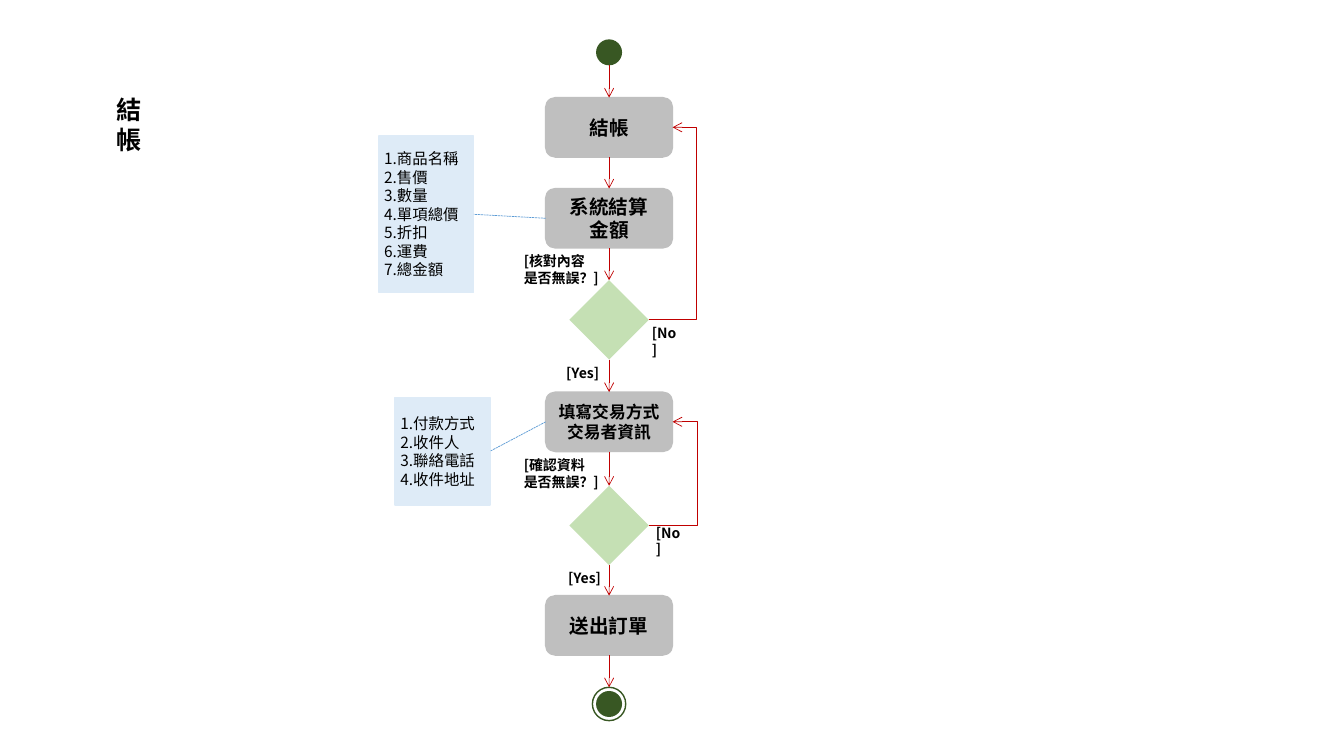
from itertools import pairwise

from lxml.etree import SubElement
from pptx import Presentation
from pptx.dml.color import RGBColor
from pptx.enum.dml import MSO_LINE
from pptx.enum.shapes import MSO_CONNECTOR as LINK, MSO_SHAPE as SHAPE
from pptx.enum.text import MSO_ANCHOR as ANCHOR, PP_ALIGN as ALIGN
from pptx.oxml.ns import qn
from pptx.util import Cm, Pt

FONT = "Noto Sans CJK SC"
BLACK, GREY, RED = "000000", "BFBFBF", "C00000"
DARK_GREEN, LIGHT_GREEN = "385723", "C5E0B4"
PALE_BLUE, BLUE = "DEEBF7", "5B9BD5"
AXIS = 15.35


def color(value):
    return RGBColor.from_string(value)


def write(shape, text, size=10, bold=True, align=ALIGN.LEFT, anchor=ANCHOR.TOP, margin=None):
    frame = shape.text_frame
    frame.word_wrap = True
    frame.vertical_anchor = anchor
    if margin is not None:
        frame.margin_left = frame.margin_right = Cm(margin)
        frame.margin_top = frame.margin_bottom = Cm(margin)
    for index, words in enumerate(text.split("\n")):
        para = frame.add_paragraph() if index else frame.paragraphs[0]
        para.alignment = align
        span = para.add_run()
        span.text = words
        span.font.size = Pt(size)
        span.font.bold = bold
        span.font.color.rgb = color(BLACK)
        span.font.name = FONT
        SubElement(span._r.get_or_add_rPr(), qn("a:ea"), typeface=FONT)


def add_title(page, text, left, top, width, height):
    title = page.shapes.title
    title.left, title.top, title.width, title.height = map(Cm, (left, top, width, height))
    write(title, text, size=18)


def add_block(page, kind, left, top, width, height, fill=None, outline=None):
    block = page.shapes.add_shape(kind, Cm(left), Cm(top), Cm(width), Cm(height))
    block.shadow.inherit = False
    if fill:
        block.fill.solid()
        block.fill.fore_color.rgb = color(fill)
    else:
        block.fill.background()
    if outline:
        block.line.color.rgb = color(outline)
        block.line.width = Pt(1)
    else:
        block.line.fill.background()
    return block


def add_circle(page, middle, size, fill=None):
    return add_block(page, SHAPE.OVAL, AXIS - size / 2, middle - size / 2, size, size, fill, DARK_GREEN)


def add_step(page, text, top, size=14):
    step = add_block(page, SHAPE.ROUNDED_RECTANGLE, AXIS - 1.6, top, 3.2, 1.5, GREY, GREY)
    write(step, text, size=size, align=ALIGN.CENTER, anchor=ANCHOR.MIDDLE)
    return step


def add_decision(page, top):
    return add_block(page, SHAPE.DIAMOND, AXIS - 1, top, 2, 2, LIGHT_GREEN)


def add_note(page, items, left, top, height):
    note = add_block(page, SHAPE.RECTANGLE, left, top, 2.39, height, PALE_BLUE, PALE_BLUE)
    text = "\n".join(f"{number}.{item}" for number, item in enumerate(items, 1))
    write(note, text, size=11, bold=False, anchor=ANCHOR.MIDDLE, margin=0.13)
    return note


def add_label(page, text, left, top, width, height=0.69):
    write(page.shapes.add_textbox(Cm(left), Cm(top), Cm(width), Cm(height)), text)


def add_line(page, begin, end, kind=LINK.STRAIGHT, stroke=RED, arrow=True):
    line = page.shapes.add_connector(kind, *begin, *end)
    line.line.color.rgb = color(stroke)
    line.line.width = Pt(0.5)
    properties = line.element.spPr
    if arrow:
        SubElement(properties.find(qn("a:ln")), qn("a:tailEnd"), type="arrow")
    else:
        line.line.dash_style = MSO_LINE.SQUARE_DOT
    SubElement(properties, qn("a:effectLst"))
    return line


def left_point(shape):
    return shape.left, shape.top + shape.height // 2


def right_point(shape):
    return shape.left + shape.width, shape.top + shape.height // 2


def top_point(shape):
    return shape.left + shape.width // 2, shape.top


def bottom_point(shape):
    return shape.left + shape.width // 2, shape.top + shape.height


def add_return(page, decision, step, bend):
    begin, end = right_point(decision), right_point(step)
    line = add_line(page, begin, end, kind=LINK.ELBOW)
    ratio = round(100000 * (Cm(bend) - begin[0]) / (end[0] - begin[0]))
    guides = line.element.spPr.find(qn("a:prstGeom")).get_or_add_avLst()
    SubElement(guides, qn("a:gd"), name="adj1", fmla=f"val {ratio}")


def add_flow(page, nodes):
    for upper, lower in pairwise(nodes):
        line = add_line(page, bottom_point(upper), top_point(lower))
        line.end_connect(lower, 0)
        if upper is not nodes[0]:
            line.begin_connect(upper, 2)


def main():
    deck = Presentation()
    deck.slide_width, deck.slide_height = Cm(33.87), Cm(19.05)
    page = deck.slides.add_slide(deck.slide_layouts[5])
    add_title(page, "結帳", 2.69, 2.24, 1.63, 0.97)

    start = add_circle(page, 1.32, 0.62, DARK_GREEN)
    checkout = add_step(page, "結帳", 2.46)
    total = add_step(page, "系統結算\n金額", 4.75)
    check = add_decision(page, 7.06)
    details = add_step(page, "填寫交易方式\n交易者資訊", 9.88, size=12)
    confirm = add_decision(page, 12.24)
    send = add_step(page, "送出訂單", 15.01)
    finish = add_circle(page, 17.74, 0.84)
    add_circle(page, 17.74, 0.62, DARK_GREEN)

    add_flow(page, [start, checkout, total, check, details, confirm, send, finish])
    add_return(page, check, checkout, 17.56)
    add_return(page, confirm, details, 17.58)

    add_label(page, "[核對內容\n是否無誤？]", 12.95, 6.25, 2.46, 1.12)
    add_label(page, "[No]", 16.18, 8.05, 1.22)
    add_label(page, "[Yes]", 14.02, 9.07, 1.4)
    add_label(page, "[確認資料\n是否無誤？]", 12.95, 11.38, 2.46, 1.12)
    add_label(page, "[No]", 16.28, 13.08, 1.22)
    add_label(page, "[Yes]", 14.07, 14.22, 1.4)

    amounts = ["商品名稱", "售價", "數量", "單項總價", "折扣", "運費", "總金額"]
    contacts = ["付款方式", "收件人", "聯絡電話", "收件地址"]
    total_note = add_note(page, amounts, 9.55, 3.43, 3.94)
    details_note = add_note(page, contacts, 9.96, 10.01, 2.72)
    for step, note in ((total, total_note), (details, details_note)):
        line = add_line(page, left_point(step), right_point(note), stroke=BLUE, arrow=False)
        line.begin_connect(step, 1)
        line.end_connect(note, 3)

    deck.save("out.pptx")


main()
